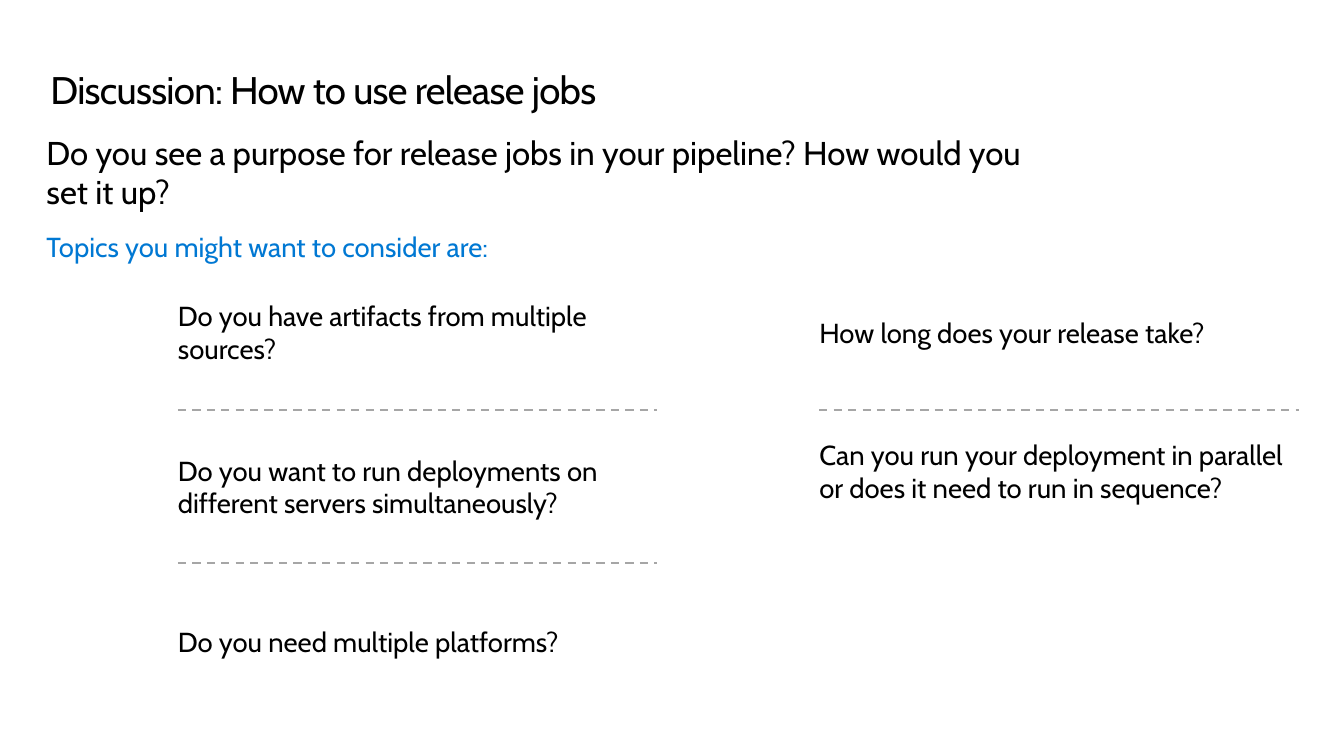
from pptx import Presentation
from pptx.dml.color import RGBColor as Rgb
from pptx.enum.dml import MSO_LINE as Dash
from pptx.enum.shapes import MSO_CONNECTOR as Conn
from pptx.enum.text import MSO_ANCHOR as Anchor, PP_ALIGN as Align
from pptx.util import Inches, Pt
from lxml.etree import SubElement
from pptx.oxml.ns import qn

COLORS = {"ink": "000000", "blue": "0078D3", "rule": "A6A6A6"}
FONT = "Cabin"


def apply(target, values):
    for name, value in values.items():
        setattr(target, name, value)


class Deck:
    """Holds the style and the current slide."""

    def __init__(self, wide, high):
        self.prs = Presentation()
        apply(self.prs, {"slide_width": Inches(wide), "slide_height": Inches(high)})
        self.slide = self.prs.slides.add_slide(self.prs.slide_layouts[5])

    def fill(self, shape, lines, size, color, anchor=Anchor.TOP):
        frame = shape.text_frame
        apply(frame, {"word_wrap": True, "vertical_anchor": anchor,
                      "margin_left": 0, "margin_right": 0,
                      "margin_top": 0, "margin_bottom": 0})
        para = frame.paragraphs[0]
        para.alignment = Align.LEFT
        for i, line in enumerate(lines):
            if i:
                para.add_line_break()
            run = para.add_run()
            run.text = line
            apply(run.font, {"name": FONT, "size": Pt(size)})
            run.font.color.rgb = Rgb.from_string(COLORS[color])
        return para

    def title(self, text, box):
        shape = self.slide.shapes.title
        apply(shape, dict(zip(("left", "top", "width", "height"), map(Inches, box))))
        para = self.fill(shape, [text], 28, "ink", Anchor.MIDDLE)
        para.line_spacing = Pt(32)
        # Tighten the letters by half a point
        para.runs[0]._r.get_or_add_rPr().set("spc", "-50")

    def text(self, lines, box, size=20, color="ink"):
        shape = self.slide.shapes.add_textbox(*map(Inches, box))
        self.fill(shape, lines, size, color)

    def rule(self, left, top, width):
        line = self.slide.shapes.add_connector(
            Conn.STRAIGHT, *map(Inches, (left, top, left + width, top)))
        apply(line.line, {"width": Pt(1.5), "dash_style": Dash.DASH})
        line.line.color.rgb = Rgb.from_string(COLORS["rule"])
        SubElement(line._element.spPr, qn("a:effectLst"))


def main():
    deck = Deck(13.6, 7.65)

    # Heading and lead question
    deck.title("Discussion: How to use release jobs", (0.51, 0.69, 12.61, 0.45))
    deck.text(["Do you see a purpose for release jobs in your pipeline? How would you ",
               "set it up?"], (0.47, 1.34, 12.65, 0.81), 24)
    deck.text(["Topics you might want to consider are:"],
              (0.47, 2.33, 12.65, 0.34), color="blue")

    # Two columns of topics: left, rule tops, (text, top, height)
    width = 4.85
    columns = [
        (1.8, [4.15, 5.7], [
            ("Do you have artifacts from multiple sources?", 3.03, 0.67),
            ("Do you want to run deployments on different servers simultaneously?",
             4.59, 0.67),
            ("Do you need multiple platforms?", 6.32, 0.34)]),
        (8.29, [4.15], [
            ("How long does your release take?", 3.2, 0.34),
            ("Can you run your deployment in parallel or does it need to run in sequence?",
             4.43, 1.01)]),
    ]
    for left, rules, topics in columns:
        for topic, top, high in topics:
            deck.text([topic], (left, top, width, high))
        for top in rules:
            deck.rule(left, top, width)

    deck.prs.save("out.pptx")


if __name__ == "__main__":
    main()
